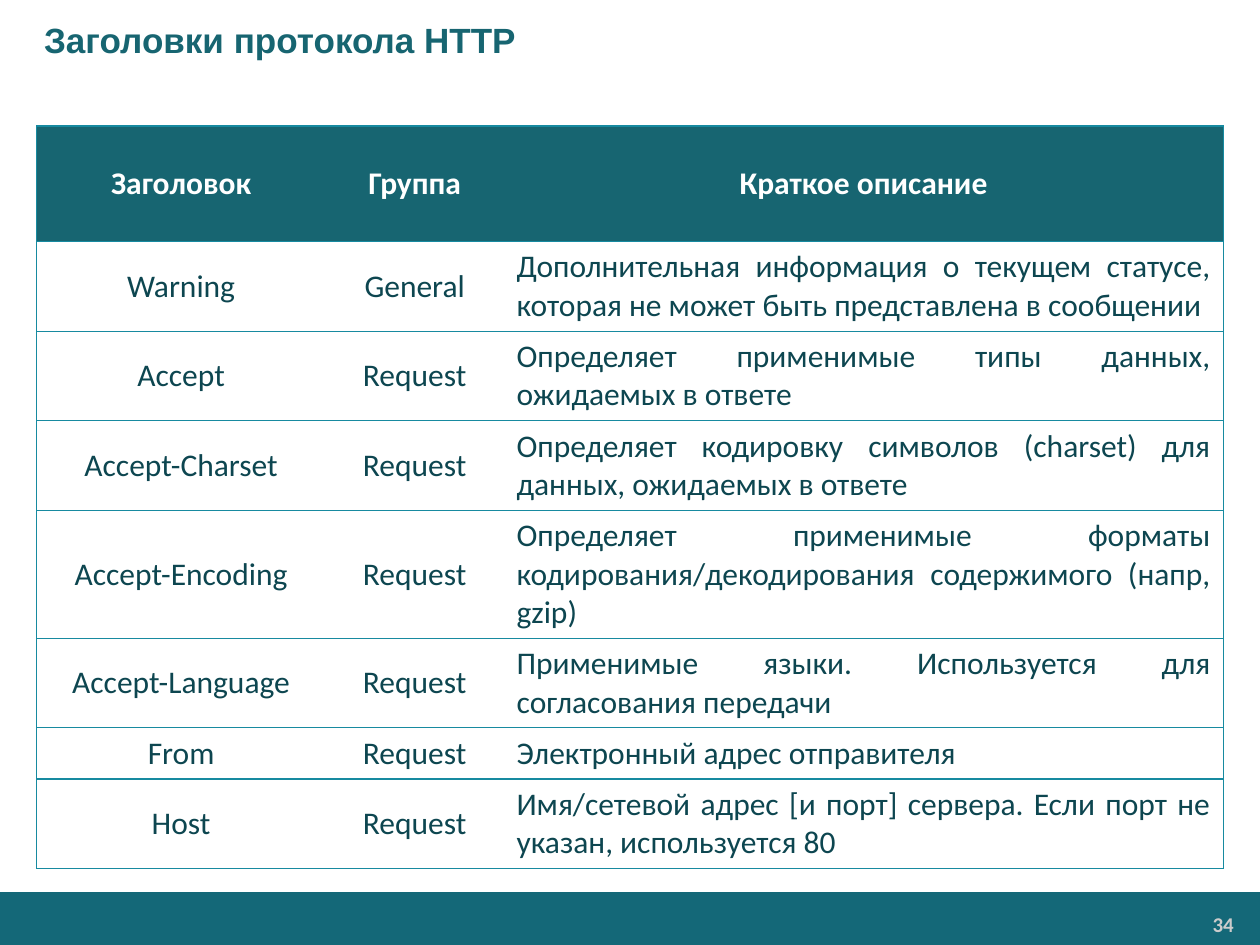
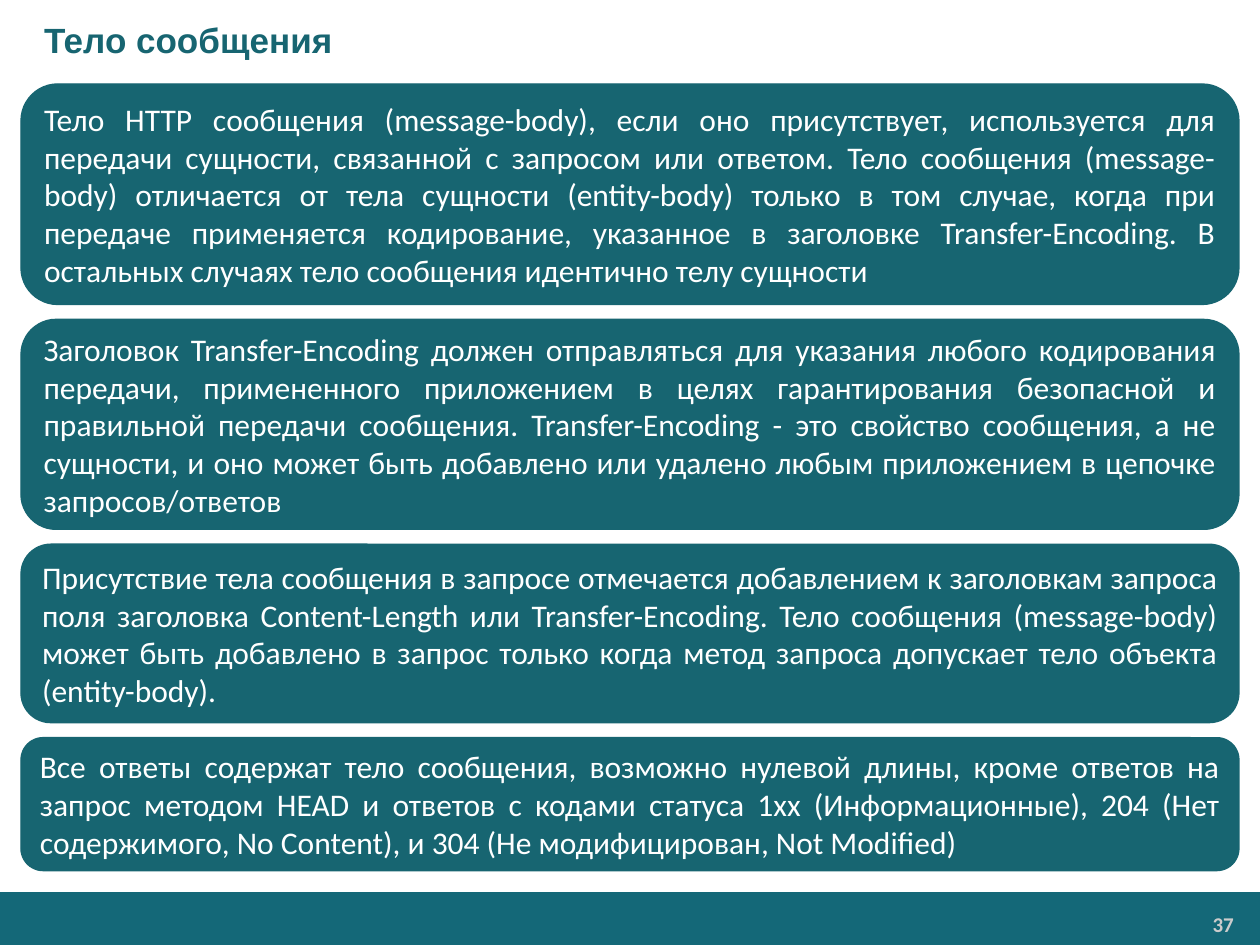
from lxml import etree
from pptx import Presentation
from pptx.dml.color import RGBColor
from pptx.enum.shapes import MSO_SHAPE
from pptx.enum.text import MSO_ANCHOR, PP_ALIGN
from pptx.oxml.ns import qn
from pptx.util import Pt

RECTANGLE, ROUNDED = MSO_SHAPE.RECTANGLE, MSO_SHAPE.ROUNDED_RECTANGLE
TOP, MIDDLE = MSO_ANCHOR.TOP, MSO_ANCHOR.MIDDLE
LEFT, CENTER, RIGHT, JUSTIFY = PP_ALIGN.LEFT, PP_ALIGN.CENTER, PP_ALIGN.RIGHT, PP_ALIGN.JUSTIFY

WIDTH, HEIGHT = 720, 540
HEADER_ROW, LINE, CELL_PADDING = 66, 22, 7.2

HEADINGS = ("Заголовок", "Группа", "Краткое описание")
# Header name, group, description, lines the description takes
HTTP_HEADERS = [
    ("Warning", "General", "Дополнительная информация о текущем статусе, "
     "которая не может быть представлена в сообщении", 2),
    ("Accept", "Request", "Определяет применимые типы данных, ожидаемых в ответе", 2),
    ("Accept-Charset", "Request", "Определяет кодировку символов (charset) для данных, "
     "ожидаемых в ответе", 2),
    ("Accept-Encoding", "Request", "Определяет применимые форматы "
     "кодирования/декодирования содержимого (напр, gzip)", 3),
    ("Accept-Language", "Request", "Применимые языки. Используется для согласования передачи", 2),
    ("From", "Request", "Электронный адрес отправителя", 1),
    ("Host", "Request", "Имя/сетевой адрес [и порт] сервера. Если порт не указан, "
     "используется 80", 2),
]

# Card height and text
BODY_FACTS = [
    (126, "Тело HTTP сообщения (message-body), если оно присутствует, используется для передачи "
     "сущности, связанной с запросом или ответом. Тело сообщения (message-body) отличается от "
     "тела сущности (entity-body) только в том случае, когда при передаче применяется "
     "кодирование, указанное в заголовке Transfer-Encoding. В остальных случаях тело сообщения "
     "идентично телу сущности"),
    (120, "Заголовок Transfer-Encoding должен отправляться для указания любого кодирования "
     "передачи, примененного приложением в целях гарантирования безопасной и правильной "
     "передачи сообщения. Transfer-Encoding - это свойство сообщения, а не сущности, и оно "
     "может быть добавлено или удалено любым приложением в цепочке запросов/ответов"),
    (102, "Присутствие тела сообщения в запросе отмечается добавлением к заголовкам запроса "
     "поля заголовка Content-Length или Transfer-Encoding. Тело сообщения (message-body) "
     "может быть добавлено в запрос только когда метод запроса допускает тело объекта "
     "(entity-body)."),
    (76, "Все ответы содержат тело сообщения, возможно нулевой длины, кроме ответов на запрос "
     "методом HEAD и ответов с кодами статуса 1xx (Информационные), 204 (Нет содержимого, "
     "No Content), и 304 (Не модифицирован, Not Modified)"),
]


def color(value):
    return RGBColor.from_string(value)


def set_borders(cell, visible, line_color):
    """Draw the sides named in visible (letters of LRTB) and hide the others."""
    properties = cell._tc.get_or_add_tcPr()
    for position, side in enumerate("LRTB"):
        border = etree.Element(qn(f"a:ln{side}"), w=str(Pt(0.75)))
        if side in visible:
            fill = etree.SubElement(border, qn("a:solidFill"))
            etree.SubElement(fill, qn("a:srgbClr"), val=line_color)
        else:
            etree.SubElement(border, qn("a:noFill"))
        properties.insert(position, border)


class Deck:
    TEAL, FOOTER, BORDER = "176571", "146878", "178AA0"
    TEXT, WHITE, NUMBER = "0D4650", "FFFFFF", "CCCCCC"
    TITLE_FONT, BODY_FONT = "Arial", "Calibri"

    def __init__(self):
        self.presentation = Presentation()
        self.presentation.slide_width = Pt(WIDTH)
        self.presentation.slide_height = Pt(HEIGHT)
        self.slide = None

    def new_slide(self, title, number):
        self.slide = self.presentation.slides.add_slide(self.presentation.slide_layouts[6])
        self.box(RECTANGLE, 0, 509.8, WIDTH, HEIGHT - 509.8, self.FOOTER)
        self.text_box(number, 592.6, 517.7, 117.4, 20, RIGHT, TOP, (5, 3),
                      size=12, bold=True, fill=self.NUMBER)
        self.text_box(title, 0, 0, WIDTH, 45, LEFT, MIDDLE, (25.2, 3.6),
                      size=20, bold=True, fill=self.TEAL, font=self.TITLE_FONT)

    def add_text(self, frame, text, align, size=18, bold=False, fill=WHITE, font=BODY_FONT):
        paragraph = frame.paragraphs[0]
        paragraph.alignment = align
        run = paragraph.add_run()
        run.text = text
        run.font.name, run.font.size, run.font.bold = font, Pt(size), bold
        run.font.color.rgb = color(fill)

    def text_box(self, text, left, top, width, height, align, anchor, margins, **style):
        frame = self.slide.shapes.add_textbox(Pt(left), Pt(top), Pt(width), Pt(height)).text_frame
        frame.word_wrap = True
        frame.vertical_anchor = anchor
        frame.margin_left = frame.margin_right = Pt(margins[0])
        frame.margin_top = frame.margin_bottom = Pt(margins[1])
        self.add_text(frame, text, align, **style)

    def box(self, kind, left, top, width, height, fill):
        shape = self.slide.shapes.add_shape(kind, Pt(left), Pt(top), Pt(width), Pt(height))
        shape.shadow.inherit = False
        shape.fill.solid()
        shape.fill.fore_color.rgb = color(fill)
        shape.line.color.rgb = color(fill)
        shape.line.width = Pt(0.75)
        return shape

    def cards(self, cards, left, top, gap):
        for height, text in cards:
            card = self.box(ROUNDED, left, top, WIDTH - 2 * left, height, self.TEAL)
            card.text_frame.word_wrap = True
            card.text_frame.vertical_anchor = MIDDLE
            self.add_text(card.text_frame, text, JUSTIFY)
            top += height + gap

    def table(self, headings, rows, left, top, widths):
        heights = [HEADER_ROW] + [lines * LINE + CELL_PADDING for *_, lines in rows]
        table = self.slide.shapes.add_table(
            len(heights), len(widths), Pt(left), Pt(top), Pt(sum(widths)), Pt(sum(heights))).table
        table.first_row = table.horz_banding = False
        for column, width in zip(table.columns, widths):
            column.width = Pt(width)
        for row, height in zip(table.rows, heights):
            row.height = Pt(height)
        last = len(widths) - 1
        for r, texts in enumerate([headings] + [row[:-1] for row in rows]):
            for c, text in enumerate(texts):
                cell = table.cell(r, c)
                cell.vertical_anchor = MIDDLE
                is_heading = r == 0
                if is_heading:
                    cell.fill.solid()
                    cell.fill.fore_color.rgb = color(self.TEAL)
                else:
                    cell.fill.background()
                self.add_text(cell.text_frame, text,
                              JUSTIFY if c == last and not is_heading else CENTER,
                              bold=is_heading, fill=self.WHITE if is_heading else self.TEXT)
                sides = "TB" + ("L" if c == 0 else "") + ("R" if c == last else "")
                set_borders(cell, sides, self.BORDER)


def main():
    deck = Deck()
    deck.new_slide("Заголовки протокола HTTP", "34")
    deck.table(HEADINGS, HTTP_HEADERS, 21, 72, (165, 102, 411))
    deck.new_slide("Тело сообщения", "37")
    deck.cards(BODY_FACTS, 12, 48, 8.5)
    deck.presentation.save("out.pptx")


if __name__ == "__main__":
    main()
